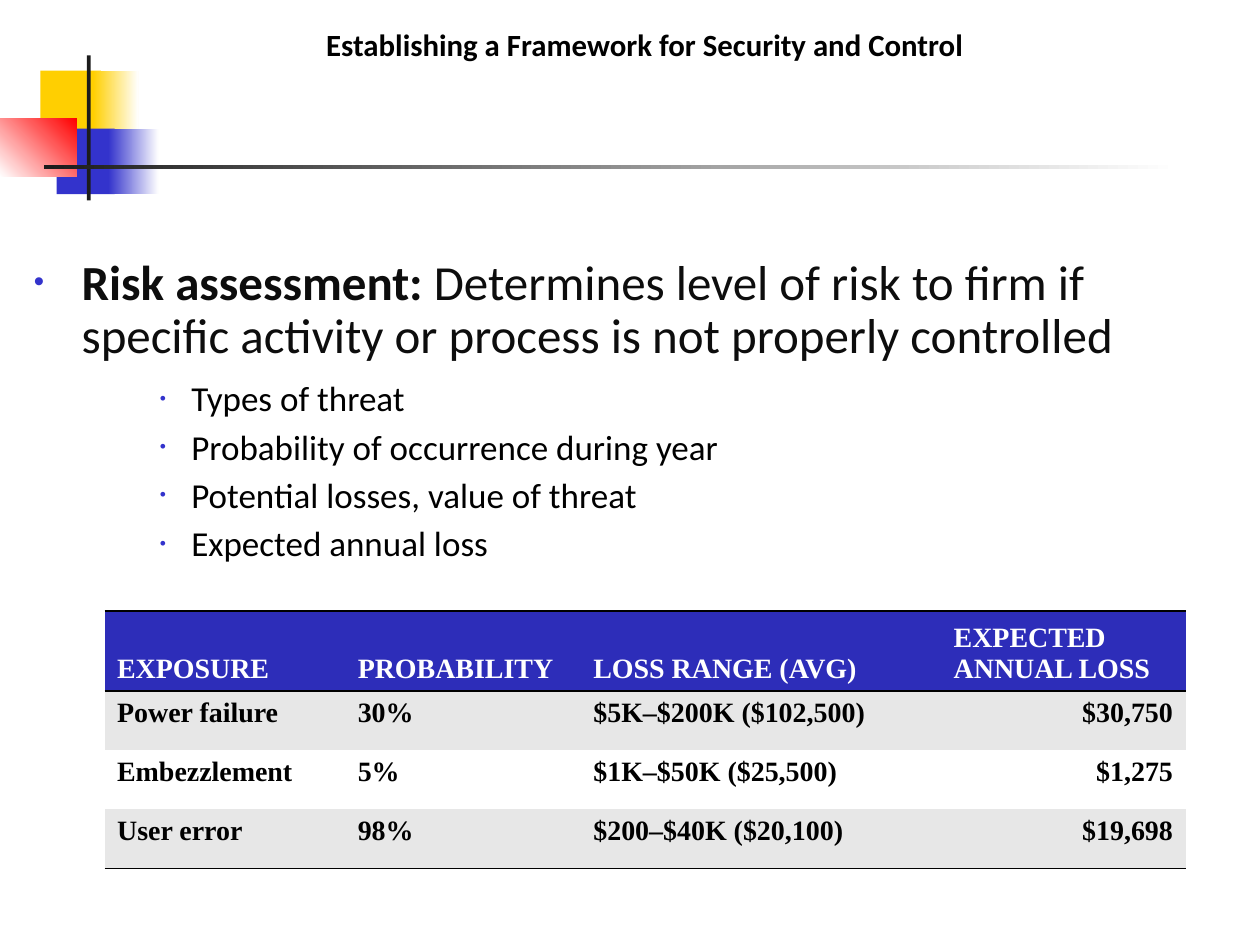
"""Build the slide on risk assessment."""
from pptx import Presentation
from pptx import util as u
from pptx.dml import color
from pptx.enum import shapes, text
from pptx.oxml import ns, parse_xml


def rgb(code):
    return color.RGBColor.from_string(code)


def node(xml):
    tag, rest = xml[1:].split(">", 1)
    return parse_xml(f"<{tag} {ns.nsdecls('a')}>{rest}")


class Deck:
    sans = "Calibri"
    serif = "Times New Roman"
    black = "000000"
    blue = "3333CC"

    def __init__(self, wide, high):
        self.prs = Presentation()
        self.prs.slide_width, self.prs.slide_height = u.Inches(wide), u.Inches(high)
        self.slide = self.prs.slides.add_slide(self.prs.slide_layouts[6])

    def rect(self, spot, *tints, angle=0):
        box = self.slide.shapes.add_shape(
            shapes.MSO_SHAPE.RECTANGLE, *map(u.Inches, spot))
        box.shadow.inherit = False
        box.line.fill.background()
        if len(tints) == 1:
            box.fill.solid()
            box.fill.fore_color.rgb = rgb(tints[0])
            return
        box.fill.gradient()
        box.fill.gradient_angle = angle
        for place, (stop, tint) in enumerate(zip(box.fill.gradient_stops, tints)):
            stop.position = place
            stop.color.rgb = rgb(tint)

    def frame(self, spot):
        frame = self.slide.shapes.add_textbox(*map(u.Inches, spot)).text_frame
        frame.word_wrap = True
        return frame

    def run(self, para, words, size, tint, bold=False, face=sans):
        run = para.add_run()
        run.text = words
        run.font.size, run.font.bold, run.font.name = u.Pt(size), bold, face
        run.font.color.rgb = rgb(tint)

    def space(self, para, lines, before=0, after=0):
        para.line_spacing = lines
        para.space_before, para.space_after = u.Pt(before), u.Pt(after)

    def bullet(self, para, left, hang, scale):
        props = para._p.get_or_add_pPr()
        props.set("marL", str(u.Inches(left)))
        props.set("indent", str(-u.Inches(hang)))
        for xml in (
            f'<a:buClr><a:srgbClr val="{self.blue}"/></a:buClr>',
            f'<a:buSzPct val="{scale * 1000}"></a:buSzPct>',
            '<a:buFont typeface="Arial"></a:buFont>',
            '<a:buChar char="•"></a:buChar>',
        ):
            props.append(node(xml))

    def edge(self, cell, sides):
        props = cell._tc.get_or_add_tcPr()
        for place, side in enumerate("LRTB"):
            fill = (f'<a:solidFill><a:srgbClr val="{self.black}"/></a:solidFill>'
                    if side in sides else "<a:noFill/>")
            width = u.Pt(0.96)
            props.insert(place, node(f'<a:ln{side} w="{width}">{fill}</a:ln{side}>'))

    def table(self, spot, cols, highs, rows):
        grid = self.slide.shapes.add_table(
            len(rows), len(cols), *map(u.Inches, spot)).table
        for col, wide in zip(grid.columns, cols):
            col.width = u.Inches(wide)
        for row, high in zip(grid.rows, highs):
            row.height = u.Inches(high)
        edges = ["TB", "T", "", "B"]
        fills = ["2D2DB9", "E7E7E7", "FFFFFF", "E7E7E7"]
        for r, row in enumerate(rows):
            for c, words in enumerate(row):
                cell = grid.cell(r, c)
                cell.fill.solid()
                cell.fill.fore_color.rgb = rgb(fills[r])
                self.edge(cell, edges[r])
                para = cell.text_frame.paragraphs[0]
                if r == 0:
                    cell.vertical_anchor = text.MSO_ANCHOR.BOTTOM
                elif c == len(cols) - 1:
                    para.alignment = text.PP_ALIGN.RIGHT
                tint = self.black if r else "FFFFFF"
                self.run(para, words, 16, tint, True, self.serif)

    def save(self):
        self.prs.save("out.pptx")


def main():
    deck = Deck(10, 7.5)
    gold, red, dark, white = "FFCF01", "FF0000", "1C1C1C", "FFFFFF"
    deck.rect((0.32, 0.56, 0.48, 0.52), gold)
    deck.rect((0.74, 0.56, 0.36, 0.52), gold, white)
    deck.rect((0.45, 1.02, 0.46, 0.52), deck.blue)
    deck.rect((0.86, 1.02, 0.4, 0.52), deck.blue, white)
    deck.rect((0, 0.94, 0.61, 0.46), white, red, angle=45)
    deck.rect((0.69, 0.44, 0.03, 1.15), dark)
    deck.rect((0.35, 1.31, 9, 0.03), dark, white)

    body = deck.frame((0.17, 2, 9.67, 4.92))
    para = body.paragraphs[0]
    deck.bullet(para, 0.38, 0.38, 60)
    deck.space(para, 0.9, after=8)
    deck.run(para, "Risk assessment: ", 28, "0D0D0D", True)
    deck.run(para, "Determines level of risk to firm if specific activity "
             "or process is not properly controlled", 28, "0D0D0D")
    for point in ("Types of threat", "Probability of occurrence during year",
                  "Potential losses, value of threat", "Expected annual loss"):
        para = body.add_paragraph()
        para.level = 2
        deck.bullet(para, 1.25, 0.25, 50)
        deck.space(para, 0.9, 2, 4)
        deck.run(para, point, 20, deck.black)

    para = deck.frame((0.59, 0.21, 9.06, 0.42)).paragraphs[0]
    para.alignment = text.PP_ALIGN.CENTER
    deck.space(para, 0.8)
    deck.run(para, "Establishing a Framework for Security and Control",
             17.6, deck.black, True)

    deck.table((0.83, 4.85, 8.58, 2.03), (1.91, 1.87, 2.86, 1.94),
               (0.63, 0.47, 0.47, 0.47), (
        ("EXPOSURE", "PROBABILITY", "LOSS RANGE (AVG)", "EXPECTED ANNUAL LOSS"),
        ("Power failure", "30%", "$5K–$200K ($102,500)", "$30,750"),
        ("Embezzlement", "5%", "$1K–$50K ($25,500)", "$1,275"),
        ("User error", "98%", "$200–$40K ($20,100)", "$19,698"),
    ))
    deck.save()


if __name__ == "__main__":
    main()
